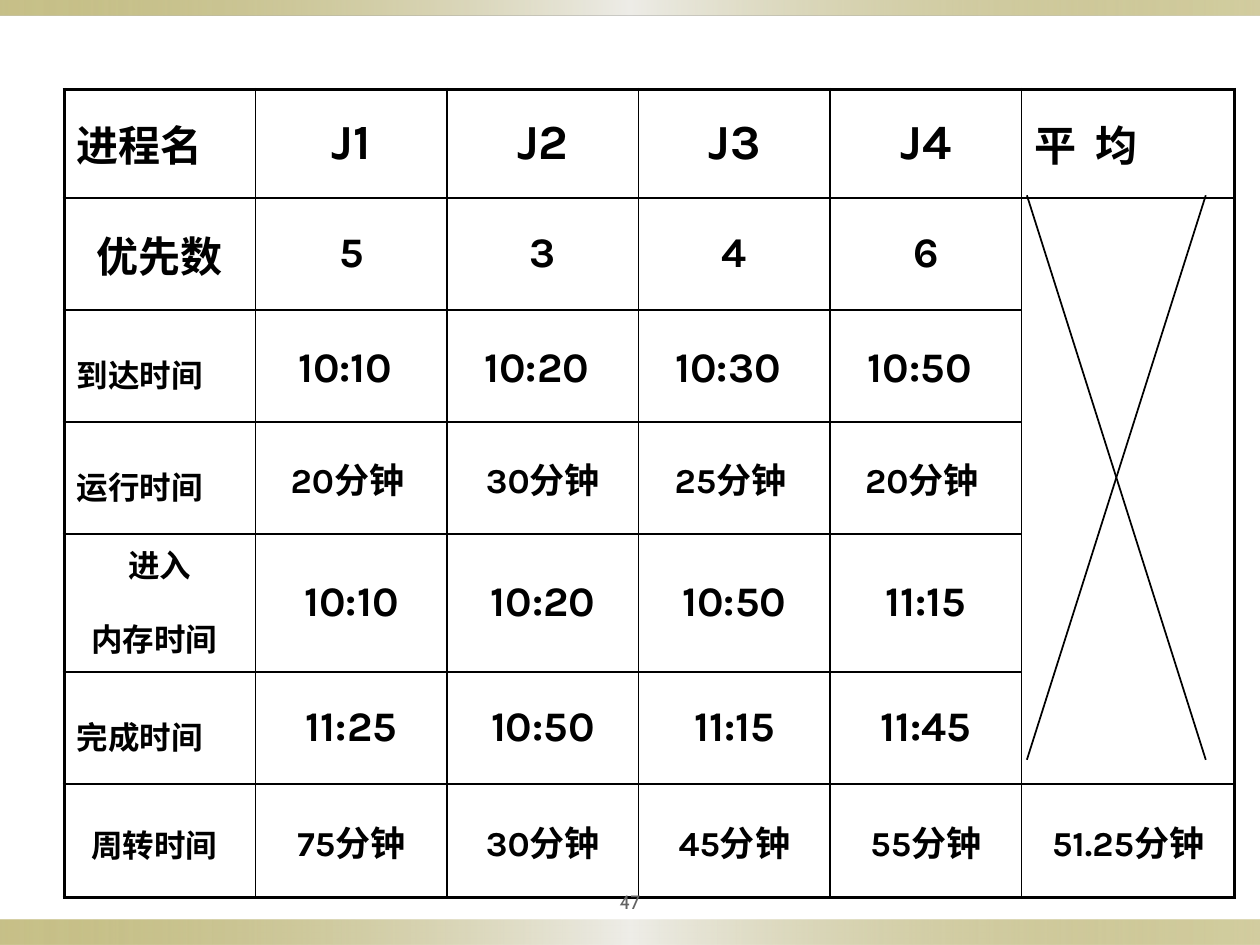
import itertools

import lxml.etree
import pptx
import pptx.dml.color
import pptx.enum.shapes
import pptx.enum.text
import pptx.oxml
import pptx.oxml.ns
import pptx.util

Inches, Pt = pptx.util.Inches, pptx.util.Pt
qn = pptx.oxml.ns.qn
ALIGN = pptx.enum.text.PP_ALIGN
MIDDLE = pptx.enum.text.MSO_ANCHOR.MIDDLE

COLORS = {"ink": "000000", "gold": "918415", "silver": "EEEDE8", "number": "636363"}
LATIN, CHINESE, NUMBER_FONT = "Karla", "Noto Sans CJK SC", "Cabin"
TAIL_SIZE = 28  # a closing space in this size sets the line height

# (label, label size, label alignment, values, value size, closing space size)
ROWS = [
    ("进程名", 24, ALIGN.LEFT, ["J1", "J2", "J3", "J4"], 28, 28),
    ("优先数", 24, ALIGN.CENTER, ["5", "3", "4", "6"], 24, 24),
    ("到达时间 ", 18, ALIGN.LEFT, ["10:10 ", "10:20 ", "10:30 ", "10:50 "], 24, 28),
    ("运行时间 ", 18, ALIGN.LEFT, ["20分钟 ", "30分钟", "25分钟 ", "20分钟 "], 20, 20),
    ("进入\n内存时间 ", 18, ALIGN.CENTER, ["10:10", "10:20", "10:50", "11:15"], 24, 24),
    ("完成时间 ", 18, ALIGN.LEFT, ["11:25", "10:50", "11:15", "11:45"], 24, 24),
    ("周转时间 ", 18, ALIGN.CENTER, ["75分钟", "30分钟", "45分钟", "55分钟"], 20, 20),
]
AVERAGE_TITLE, AVERAGE = "平 均", "51.25分钟"
COLUMN_WIDTHS = [1.52] * 5 + [1.69]
ROW_HEIGHTS = [0.86, 0.89, 0.89, 0.89, 0.96, 0.89, 0.9]
TABLE_LEFT, TABLE_TOP = 0.51, 0.71
LAST_ROW, LAST_COLUMN = len(ROW_HEIGHTS) - 1, len(COLUMN_WIDTHS) - 1
BARS = [(7.3, 0.2), (0, 0.12)]  # top, height
CROSS_LEFT, CROSS_RIGHT, CROSS_TOP, CROSS_BOTTOM = 8.15, 9.57, 1.55, 6.03


def rgb(name):
    return pptx.dml.color.RGBColor.from_string(COLORS[name])


def add_bar(slide, top, height):
    bar = slide.shapes.add_shape(
        pptx.enum.shapes.MSO_SHAPE.RECTANGLE, 0, Inches(top), Inches(10), Inches(height))
    bar.shadow.inherit = False
    bar.line.fill.background()
    stops = "".join(
        f'<a:gs pos="{position}000"><a:srgbClr val="{COLORS[color]}">'
        f'<a:alpha val="{alpha}000"/></a:srgbClr></a:gs>'
        for position, color, alpha in [(0, "gold", 50), (50, "silver", 100), (100, "gold", 40)])
    gradient = pptx.oxml.parse_xml(
        f'<a:gradFill {pptx.oxml.ns.nsdecls("a")}><a:gsLst>{stops}</a:gsLst>'
        '<a:lin ang="0" scaled="0"/></a:gradFill>')
    bar._element.spPr.find(qn("a:prstGeom")).addnext(gradient)


def add_run(paragraph, text, size, font_name):
    run = paragraph.add_run()
    run.text = text
    font = run.font
    font.size, font.bold, font.name = Pt(size), True, font_name
    font.color.rgb = rgb("ink")
    east_asian = lxml.etree.Element(qn("a:ea"), typeface=CHINESE)
    run._r.rPr.find(qn("a:latin")).addnext(east_asian)


def fill_cell(cell, text, size, alignment, tail_size):
    """Write one paragraph per line, with a separate run for each script."""
    cell.vertical_anchor = MIDDLE
    for index, line in enumerate(text.split("\n")):
        paragraph = cell.text_frame.paragraphs[0] if index == 0 else cell.text_frame.add_paragraph()
        paragraph.alignment = alignment
        if index:
            paragraph.space_before = Pt(5)
        for chinese, letters in itertools.groupby(line.rstrip(), lambda c: ord(c) > 0x2E80):
            add_run(paragraph, "".join(letters), size, CHINESE if chinese else LATIN)
        if line.endswith(" "):
            add_run(paragraph, " ", tail_size, LATIN)


def draw_borders(cell, row, column):
    """Thick outer frame, thin grid, nothing inside the merged block."""
    widths = {
        "L": 2.25 if column == 0 else 1,
        "R": 2.25 if column == LAST_COLUMN else 1,
        "T": 2.25 if row == 0 else 1,
        "B": 2.25 if row == LAST_ROW else 1,
    }
    if column == LAST_COLUMN and 1 < row < LAST_ROW:
        del widths["T"]
    if column == LAST_COLUMN and 0 < row < LAST_ROW - 1:
        del widths["B"]
    properties = cell._tc.get_or_add_tcPr()
    for side, width in widths.items():
        properties.append(pptx.oxml.parse_xml(
            f'<a:ln{side} {pptx.oxml.ns.nsdecls("a")} w="{int(Pt(width))}"><a:solidFill>'
            f'<a:srgbClr val="{COLORS["ink"]}"/></a:solidFill></a:ln{side}>'))
    cell.fill.background()


def add_schedule(slide):
    table = slide.shapes.add_table(
        len(ROW_HEIGHTS), len(COLUMN_WIDTHS), Inches(TABLE_LEFT), Inches(TABLE_TOP),
        Inches(sum(COLUMN_WIDTHS)), Inches(sum(ROW_HEIGHTS))).table
    table.first_row = table.horz_banding = False
    for column, width in zip(table.columns, COLUMN_WIDTHS):
        column.width = Inches(width)
    for row, height in zip(table.rows, ROW_HEIGHTS):
        row.height = Inches(height)
    for row in range(len(ROW_HEIGHTS)):
        for column in range(len(COLUMN_WIDTHS)):
            draw_borders(table.cell(row, column), row, column)

    for row, (label, label_size, alignment, values, size, tail_size) in enumerate(ROWS):
        fill_cell(table.cell(row, 0), label, label_size, alignment, TAIL_SIZE)
        for column, value in enumerate(values, start=1):
            fill_cell(table.cell(row, column), value, size, ALIGN.CENTER, tail_size)
    table.cell(LAST_ROW, 0).text_frame.paragraphs[0].line_spacing = 0.8

    average_title = table.cell(0, LAST_COLUMN)
    fill_cell(average_title, AVERAGE_TITLE, 24, ALIGN.LEFT, TAIL_SIZE)
    for run in average_title.text_frame.paragraphs[0].runs:
        run._r.rPr.set("spc", "270")
    fill_cell(table.cell(LAST_ROW, LAST_COLUMN), AVERAGE, 20, ALIGN.CENTER, TAIL_SIZE)
    table.cell(1, LAST_COLUMN).merge(table.cell(LAST_ROW - 1, LAST_COLUMN))


def add_page_number(slide):
    box = slide.shapes.add_textbox(Inches(4.5), Inches(7), Inches(1), Inches(0.31))
    frame = box.text_frame
    frame.word_wrap = True
    frame.vertical_anchor = MIDDLE
    frame.margin_left = frame.margin_right = Inches(0.05)
    frame.text = "47"
    paragraph = frame.paragraphs[0]
    paragraph.alignment = ALIGN.CENTER
    font = paragraph.runs[0].font
    font.size, font.name = Pt(11), NUMBER_FONT
    font.color.rgb = rgb("number")


def add_cross(slide):
    for start, end in [(CROSS_LEFT, CROSS_RIGHT), (CROSS_RIGHT, CROSS_LEFT)]:
        line = slide.shapes.add_connector(
            pptx.enum.shapes.MSO_CONNECTOR.STRAIGHT,
            Inches(start), Inches(CROSS_TOP), Inches(end), Inches(CROSS_BOTTOM))
        line.line.color.rgb = rgb("ink")
        line.line.width = Pt(1)
        lxml.etree.SubElement(line._element.spPr, qn("a:effectLst"))


def main():
    presentation = pptx.Presentation()
    presentation.slide_width, presentation.slide_height = Inches(10), Inches(7.5)
    slide = presentation.slides.add_slide(presentation.slide_layouts[6])
    for top, height in BARS:
        add_bar(slide, top, height)
    add_schedule(slide)
    add_page_number(slide)
    add_cross(slide)
    presentation.save("out.pptx")


if __name__ == "__main__":
    main()
